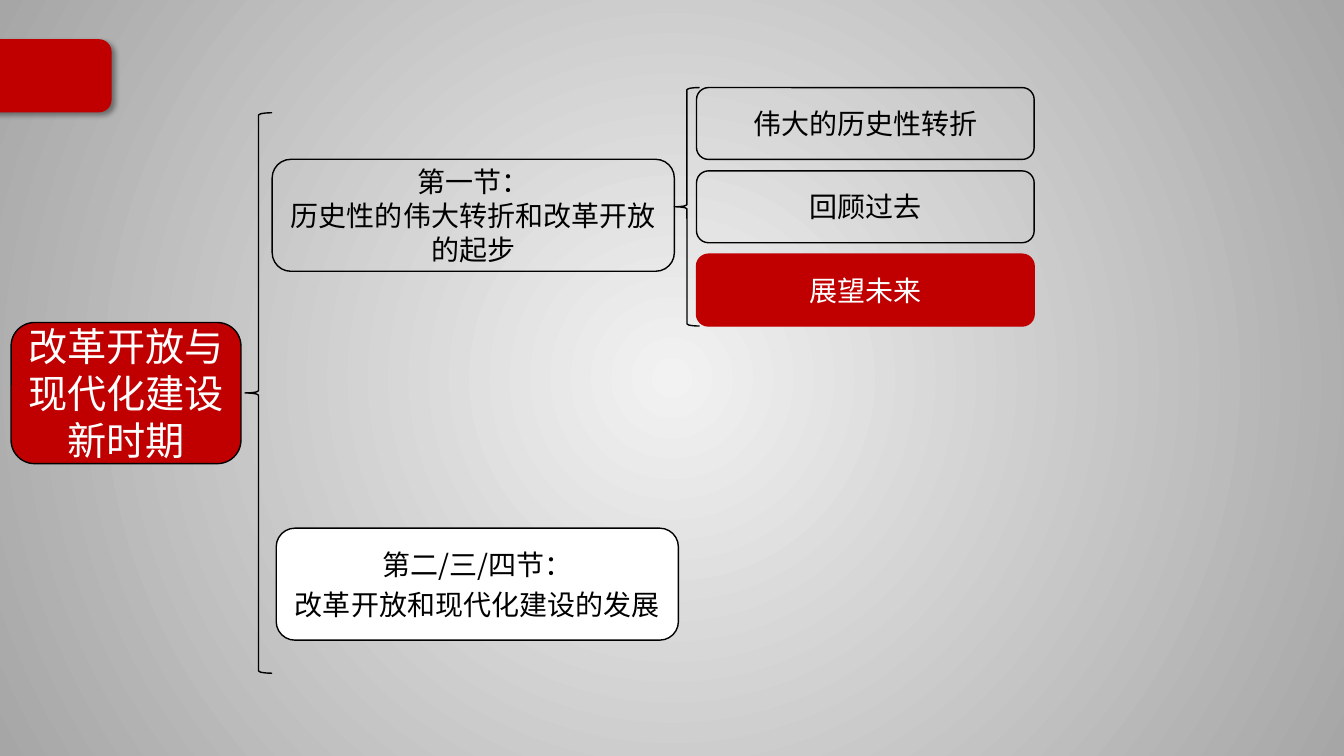
from lxml import etree
from pptx import Presentation
from pptx.dml.color import RGBColor
from pptx.enum import shapes, text
from pptx.oxml.ns import qn
from pptx.util import Pt

RED = RGBColor(0xC0, 0x00, 0x00)
BLACK = RGBColor(0x00, 0x00, 0x00)
WHITE = RGBColor(0xFF, 0xFF, 0xFF)
LIGHT_GREY = RGBColor(0xF2, 0xF2, 0xF2)
MID_GREY = RGBColor(0xA6, 0xA6, 0xA6)
FONT = "Noto Sans CJK SC"

TITLE = "改革开放与现代化建设新时期"
SECTIONS = [
    (194.4, 113.8, None, 0, "第一节：\n历史性的伟大转折和改革开放的起步"),
    (197.3, 377.3, WHITE, 5, "第二/三/四节：\n改革开放和现代化建设的发展"),
]
TOPICS = ["伟大的历史性转折", "回顾过去", "展望未来"]
CURRENT_TOPIC = "展望未来"


def add_outline(page, kind, left, top, width, height, fill=None, line=BLACK):
    shape = page.shapes.add_shape(kind, Pt(left), Pt(top), Pt(width), Pt(height))
    shape.shadow.inherit = False
    if fill is None:
        shape.fill.background()
    else:
        shape.fill.solid()
        shape.fill.fore_color.rgb = fill
    shape.line.color.rgb = line
    shape.line.width = Pt(1)
    return shape


def write_text(shape, words, size=20, color=BLACK, space_before=0):
    """Centre one paragraph per line; space_before parts the later ones."""
    frame = shape.text_frame
    frame.word_wrap = True
    frame.vertical_anchor = text.MSO_ANCHOR.MIDDLE
    for index, line in enumerate(words.split("\n")):
        para = frame.add_paragraph() if index else frame.paragraphs[0]
        para.alignment = text.PP_ALIGN.CENTER
        if index and space_before:
            para.space_before = Pt(space_before)
        span = para.add_run()
        span.text = line
        span.font.size = Pt(size)
        span.font.name = FONT
        span.font.color.rgb = color
        east_asian = etree.SubElement(span.font._element, qn("a:ea"))
        east_asian.set("typeface", FONT)


def add_card(page, left, top, width, height, words, fill=None, line=BLACK, **format):
    card = add_outline(page, shapes.MSO_SHAPE.ROUNDED_RECTANGLE,
                       left, top, width, height, fill, line)
    write_text(card, words, **format)


def add_brace(page, left, top, width, height):
    add_outline(page, shapes.MSO_SHAPE.LEFT_BRACE, left, top, width, height)


def paint_background(page):
    """Fill the page with a radial gradient, lightest at the centre."""
    fill = page.background.fill
    fill.gradient()
    for stop, color, position in zip(fill.gradient_stops, (LIGHT_GREY, MID_GREY), (0, 1)):
        stop.color.rgb = color
        stop.position = position
    gradient = page.element.find(".//" + qn("a:gradFill"))
    gradient.remove(gradient.find(qn("a:lin")))
    radial = etree.SubElement(gradient, qn("a:path"), path="circle")
    etree.SubElement(radial, qn("a:fillToRect"),
                     {side: "50000" for side in "ltrb"})


def add_corner_tab(page, left, top, width, height):
    tab = add_outline(page, shapes.MSO_SHAPE.ROUNDED_RECTANGLE,
                      left, top, width, height, RED, RED)
    effects = tab._element.spPr.find(qn("a:effectLst"))
    shadow = etree.SubElement(effects, qn("a:outerShdw"), blurRad=str(Pt(4)),
                              dist=str(Pt(3)), dir="2700000", algn="tl", rotWithShape="0")
    color = etree.SubElement(shadow, qn("a:srgbClr"), val=str(BLACK))
    etree.SubElement(color, qn("a:alpha"), val="40000")


def add_sections(page, left, top, width, height):
    """Brace the section cards, which stand to the right of the brace."""
    add_brace(page, left, top, width, height)
    for card_left, card_top, fill, gap, words in SECTIONS:
        add_card(page, card_left, card_top, 287.3, 80, words,
                 fill=fill, space_before=gap)


def add_topics(page, left, top, width, height):
    """Brace a column of equal topic cards and mark the current one."""
    add_brace(page, left, top, 18, height)
    card_left, card_height = left + 15.8, 51.3
    pitch = (height - card_height) / (len(TOPICS) - 1)
    for index, words in enumerate(TOPICS):
        current = words == CURRENT_TOPIC
        add_card(page, card_left, top + index * pitch, left + width - card_left,
                 card_height, words, fill=RED if current else None,
                 line=RED if current else BLACK, color=WHITE if current else BLACK)


def main():
    deck = Presentation()
    deck.slide_width, deck.slide_height = Pt(960), Pt(540)
    page = deck.slides.add_slide(deck.slide_layouts[6])
    paint_background(page)
    add_corner_tab(page, -13, 28.5, 92.2, 51.3)
    add_card(page, 7.9, 230.4, 164.2, 100.8, TITLE, fill=RED, size=28, color=WHITE)
    add_sections(page, 175, 80.6, 19.4, 400.3)
    add_topics(page, 481.7, 62.6, 257, 170.3)
    deck.save("out.pptx")


if __name__ == "__main__":
    main()
